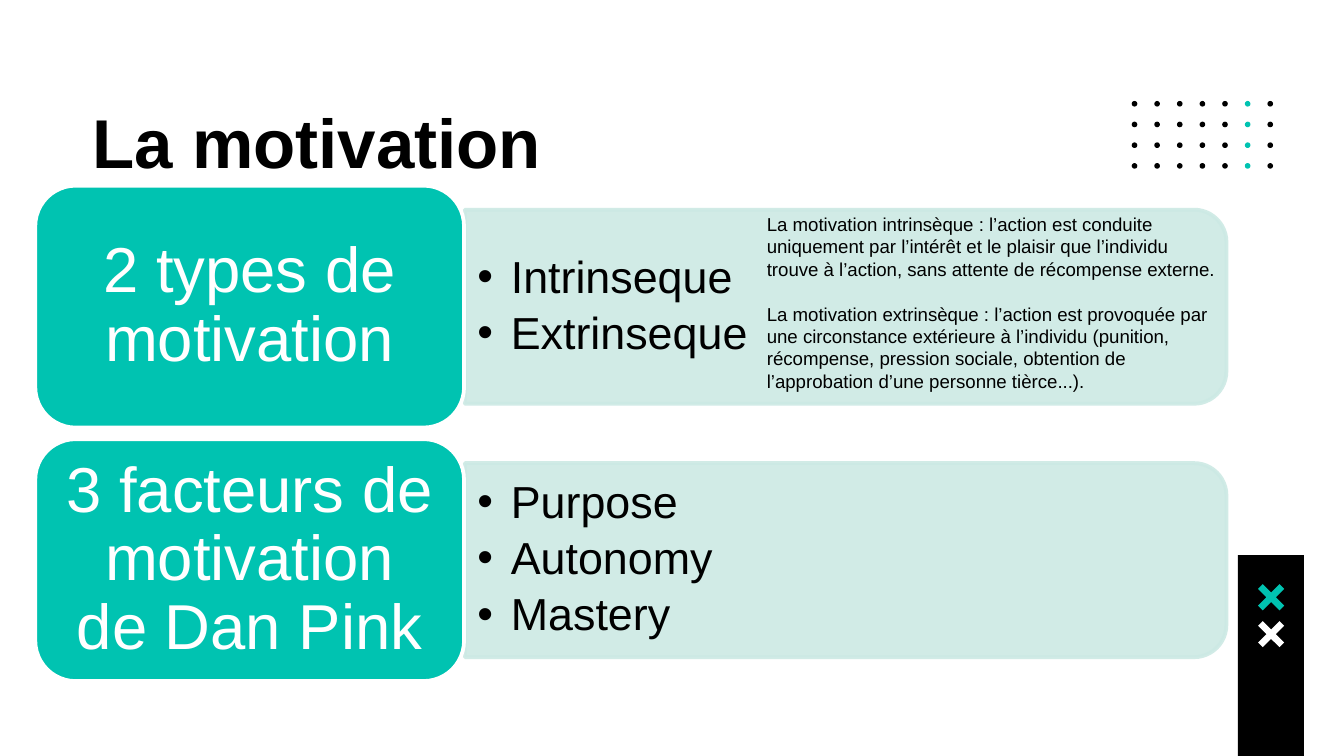
"""Build the slide on motivation: two types and three factors."""
from lxml import etree
from pptx import Presentation
from pptx.dml.color import RGBColor
from pptx.enum.shapes import MSO_SHAPE
from pptx.enum.text import MSO_ANCHOR, PP_ALIGN
from pptx.oxml.ns import qn
from pptx.util import Pt

ROUND, ROUND_TOP = MSO_SHAPE.ROUNDED_RECTANGLE, MSO_SHAPE.ROUND_2_SAME_RECTANGLE
OVAL, RECTANGLE = MSO_SHAPE.OVAL, MSO_SHAPE.RECTANGLE
TOP, MIDDLE = MSO_ANCHOR.TOP, MSO_ANCHOR.MIDDLE
LEFT, CENTER = PP_ALIGN.LEFT, PP_ALIGN.CENTER
BLACK, WHITE, TEAL, MINT = "000000", "FFFFFF", "00C3B1", "CCE9E4"


def paint(shape, fill, line=None, alpha=None):
    shape.shadow.inherit = False
    shape.fill.solid()
    shape.fill.fore_color.rgb = RGBColor.from_string(fill)
    if line:
        shape.line.color.rgb = RGBColor.from_string(line)
        shape.line.width = Pt(2)
    else:
        shape.line.fill.background()
    if alpha:
        for color in shape.fill._xPr.iter(qn("a:srgbClr")):
            etree.SubElement(color, qn("a:alpha"), val=str(alpha * 1000))


def write(shape, text, size, color=BLACK, bold=False, align=LEFT, anchor=TOP,
          insets=(7.2, 3.6, 7.2, 3.6), spacing=None, gap=0, bullet=False):
    frame = shape.text_frame
    frame.word_wrap = True
    frame.vertical_anchor = anchor
    frame.margin_left, frame.margin_top, frame.margin_right, frame.margin_bottom = map(Pt, insets)
    lines = text.split("\n")
    for i, line in enumerate(lines):
        paragraph = frame.add_paragraph() if i else frame.paragraphs[0]
        paragraph.text = line
        if bullet:
            props = paragraph._p.get_or_add_pPr()
            props.set("marL", str(Pt(18)))
            props.set("indent", str(Pt(-18)))
            etree.SubElement(props, qn("a:buFont"), typeface="Arial")
            etree.SubElement(props, qn("a:buChar"), char="•")
        paragraph.alignment = align
        if spacing:
            paragraph.line_spacing = spacing
        if i < len(lines) - 1:
            paragraph.space_after = Pt(gap)
        for run in paragraph.runs:
            run.font.name = "Arial"
            run.font.size = Pt(size)
            run.font.bold = bold
            run.font.color.rgb = RGBColor.from_string(color)


prs = Presentation()
prs.slide_width, prs.slide_height = Pt(720), Pt(405)
slide = prs.slides.add_slide(prs.slide_layouts[6])
shapes = slide.shapes

for row in range(4):
    for column in range(7):
        dot = shapes.add_shape(OVAL, Pt(606.3 + 12.12 * column), Pt(54.1 + 11.1 * row), Pt(3), Pt(3))
        paint(dot, TEAL if column == 5 else BLACK)

corner_band = shapes.add_shape(RECTANGLE, Pt(663.2), Pt(297.4), Pt(35.4), Pt(107.6))
paint(corner_band, BLACK)

for center_y, color in ((320, TEAL), (339.8, WHITE)):
    arm = [(-4.5, -7), (-7, -4.5), (-2.5, 0)]
    outline = []
    for quarter in range(4):
        outline += arm
        arm = [(y, -x) for x, y in arm]
    points = [(Pt(681 + x), Pt(center_y + y)) for x, y in outline]
    builder = shapes.build_freeform(*points[0], scale=1.0)
    builder.add_line_segments(points[1:], close=True)
    paint(builder.convert_to_shape(), color)

title = shapes.add_textbox(Pt(42.5), Pt(42.5), Pt(638), Pt(57))
write(title, "La motivation", 37, bold=True, insets=(7.2, 10.8, 7.2, 3.6))

topics = [
    ("2 types de motivation", "Intrinseque\nExtrinseque"),
    ("3 facteurs de motivation de Dan Pink", "Purpose\nAutonomy\nMastery"),
]
for i, (heading, items) in enumerate(topics):
    center_y = 164.3 + 135.8 * i
    panel = shapes.add_shape(ROUND_TOP, Pt(453 - 52), Pt(center_y - 204), Pt(104), Pt(408))
    panel.rotation = 90
    paint(panel, MINT, line=MINT, alpha=90)
    item_list = shapes.add_textbox(Pt(248.6), Pt(center_y - 47), Pt(403), Pt(94))
    write(item_list, items, 24, anchor=MIDDLE, spacing=0.9, gap=4.2, bullet=True)
    label = shapes.add_shape(ROUND, Pt(18.9), Pt(center_y - 64.8), Pt(229.7), Pt(129.6))
    paint(label, TEAL, line=WHITE)
    write(label, heading, 34, color=WHITE, align=CENTER, anchor=MIDDLE,
          insets=(10, 5, 10, 5), spacing=0.9)

definitions = shapes.add_textbox(Pt(403.7), Pt(110.4), Pt(258.6), Pt(104.4))
write(definitions,
      "La motivation intrinsèque : l’action est conduite uniquement par l’intérêt et le plaisir "
      "que l’individu trouve à l’action, sans attente de récompense externe.\n"
      "La motivation extrinsèque : l’action est provoquée par une circonstance extérieure à "
      "l’individu (punition, récompense, pression sociale, obtention de l’approbation d’une "
      "personne tièrce...).", 10, gap=12)

prs.save("out.pptx")
